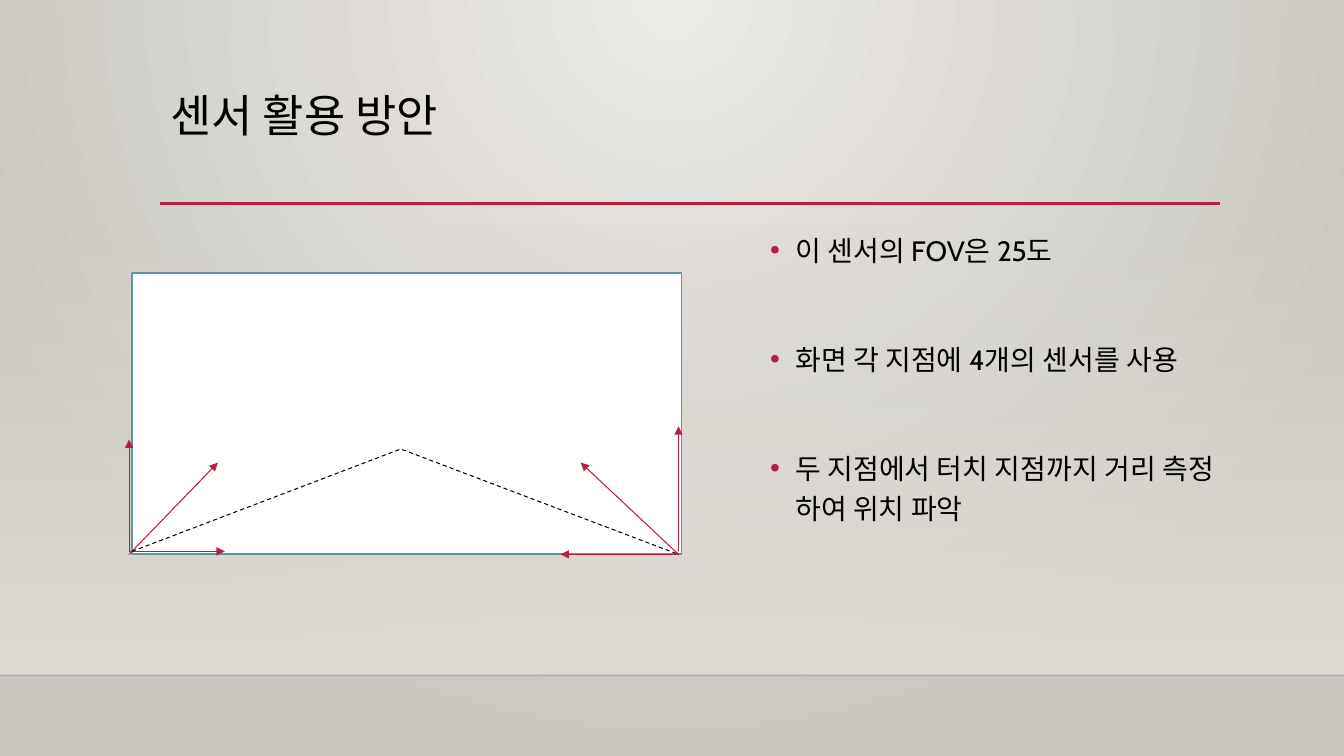
import pptx
import pptx.util
import pptx.dml.color
import pptx.enum.dml
import pptx.enum.shapes
import pptx.enum.text
import pptx.oxml
import pptx.oxml.ns
import lxml.etree

Inches = pptx.util.Inches
Pt = pptx.util.Pt
qn = pptx.oxml.ns.qn
RED = "B71E42"
SAND = "DFDBD5"


def color(value):
    return pptx.dml.color.RGBColor.from_string(value)


def add_line(start, end, shade, width):
    line = page.shapes.add_connector(
        pptx.enum.shapes.MSO_CONNECTOR.STRAIGHT,
        Inches(start[0]), Inches(start[1]), Inches(end[0]), Inches(end[1]))
    line.line.color.rgb = color(shade)
    line.line.width = Pt(width)
    lxml.etree.SubElement(line.element.spPr, qn("a:effectLst"))
    return line


deck = pptx.Presentation()
deck.slide_width = Inches(13.33)
deck.slide_height = Inches(7.5)
page = deck.slides.add_slide(deck.slide_layouts[5])

backdrop = page.background.fill
backdrop.gradient()
for stop, shade in zip(backdrop.gradient_stops, ("ECEAE7", "CAC7C1")):
    stop.color.rgb = color(shade)
gradient = page.element.xpath(".//p:bg//a:gradFill")[0]
gradient.remove(gradient.find(qn("a:lin")))
circle = lxml.etree.SubElement(gradient, qn("a:path"), path="circle")
lxml.etree.SubElement(circle, qn("a:fillToRect"), l="43000", t="0", r="43000", b="100000")

wall = page.shapes.add_shape(
    pptx.enum.shapes.MSO_SHAPE.RECTANGLE, Inches(0), Inches(2.21), Inches(13.33), Inches(4.49))
wall.shadow.inherit = False
wall.line.fill.background()
wall.fill.gradient()
wall.fill.gradient_angle = 270
for stop in wall.fill.gradient_stops:
    stop.color.rgb = color(SAND)
clear_stop = wall.element.xpath(".//a:gs/a:srgbClr")[0]
lxml.etree.SubElement(clear_stop, qn("a:alpha"), val="0")

floor_line = add_line((0, 6.7), (13.33, 6.7), "000001", 1)
floor_color = floor_line.element.xpath(".//a:ln//a:srgbClr")[0]
lxml.etree.SubElement(floor_color, qn("a:alpha"), val="20000")
add_line((1.59, 2.02), (12.1, 2.02), RED, 2.5)

screen = page.shapes.add_shape(
    pptx.enum.shapes.MSO_SHAPE.RECTANGLE, Inches(1.31), Inches(2.71), Inches(5.45), Inches(2.79))
screen.shadow.inherit = False
screen.fill.solid()
screen.fill.fore_color.rgb = color("FFFFFF")
screen.line.color.rgb = color("6892A0")
screen.line.width = Pt(1.25)

title = page.shapes.title
title.left, title.top, title.width, title.height = (
    Inches(1.59), Inches(0.88), Inches(10.5), Inches(1.15))
title.text_frame.text = "센서 활용 방안"
title.text_frame.vertical_anchor = pptx.enum.text.MSO_ANCHOR.TOP
title.text_frame.auto_size = pptx.enum.text.MSO_AUTO_SIZE.NONE
heading = title.text_frame.paragraphs[0]
heading.alignment = pptx.enum.text.PP_ALIGN.LEFT
heading.line_spacing = 0.9
heading.runs[0].font.size = Pt(32)
heading.runs[0].font.name = "Cabin"
heading.runs[0].font.color.rgb = color("000000")

notes_box = page.shapes.add_textbox(Inches(7.54), Inches(2.2), Inches(4.73), Inches(3.77))
notes_box.text_frame.word_wrap = True
notes_box.text_frame.text = "\n".join((
    "이 센서의 FOV은 25도",
    "화면 각 지점에 4개의 센서를 사용",
    "두 지점에서 터치 지점까지 거리 측정 하여 위치 파악",
))
for index, para in enumerate(notes_box.text_frame.paragraphs):
    properties = para._p.get_or_add_pPr()
    properties.set("marL", str(Inches(0.25)))
    properties.set("indent", str(Inches(-0.25)))
    bullet_color = lxml.etree.SubElement(properties, qn("a:buClr"))
    lxml.etree.SubElement(bullet_color, qn("a:srgbClr"), val=RED)
    lxml.etree.SubElement(properties, qn("a:buFont"), typeface="Arial")
    lxml.etree.SubElement(properties, qn("a:buChar"), char="•")
    para.line_spacing = 1.2
    para.space_before = Pt(49 if index else 0)
    for span in para.runs:
        span.font.size = Pt(20)
        span.font.name = "Cabin"
        span.font.color.rgb = color("000000")

sensor_arrows = (
    ((1.28, 5.5), (2.16, 4.59)),
    ((1.28, 5.47), (2.23, 5.47)),
    ((6.73, 5.5), (5.56, 5.5)),
    ((1.28, 5.47), (1.28, 4.36)),
    ((6.73, 5.47), (6.73, 4.23)),
    ((6.73, 5.5), (5.76, 4.59)),
)
for start, end in sensor_arrows:
    arrow = add_line(start, end, RED, 0.75)
    lxml.etree.SubElement(arrow.line._get_or_add_ln(), qn("a:tailEnd"), type="triangle")

for start, end in (((3.96, 4.46), (1.31, 5.47)), ((3.99, 4.46), (6.73, 5.5))):
    distance = add_line(start, end, "000000", 0.75)
    distance.line.dash_style = pptx.enum.dml.MSO_LINE.DASH

deck.save("out.pptx")
